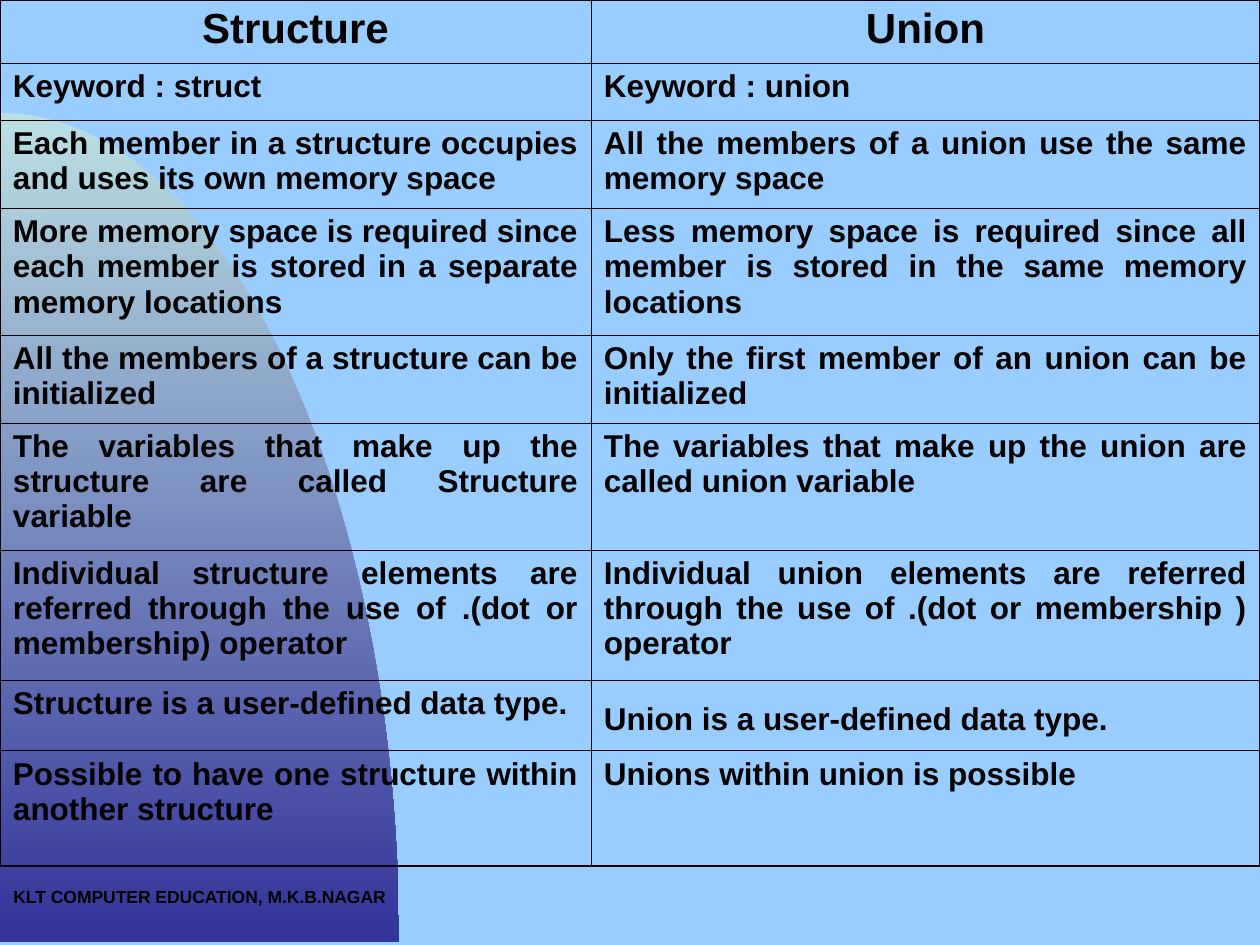
from lxml.etree import SubElement
from pptx import Presentation
from pptx.dml.color import RGBColor as RGB
from pptx.enum.text import MSO_ANCHOR, PP_ALIGN as AL
from pptx.oxml.ns import qn
from pptx.util import Emu, Pt

SCALE = 914400 / 126
COLORS = {"sky": "99CCFF", "mint": "BBE0E3", "indigo": "333399", "ink": "000000"}
INSETS = {"margin_left": 13, "margin_right": 13, "margin_top": 6, "margin_bottom": 6}
COLUMNS = [591, 669]
HEIGHTS = [63, 57, 88, 127, 88, 127, 130, 71, 115]
ROWS = [
    ("Structure", "Union"),
    ("Keyword : struct", "Keyword : union"),
    ("Each member in a structure occupies and uses its own memory space",
     "All the members of a union use the same memory space"),
    ("More memory space is required since each member is stored in a separate memory locations",
     "Less memory space is required since all member is stored in the same memory locations"),
    ("All the members of a structure can be initialized",
     "Only the first member of an union can be initialized"),
    ("The variables that make up the structure are called Structure variable",
     "The variables that make up the union are called union variable"),
    ("Individual structure elements are referred through the use of .(dot or membership) operator",
     "Individual union elements are referred through the use of .(dot or membership ) operator"),
    ("Structure is a user-defined data type.", "Union is a user-defined data type."),
    ("Possible to have one structure within another structure",
     "Unions within union is possible"),
]
LOWERED_CELL = (7, 1)


def px(n):
    return Emu(round(n * SCALE))


def color(name):
    return RGB.from_string(COLORS[name])


def bezier(p0, p1, p2, p3, steps=48):
    for i in range(1, steps + 1):
        t = i / steps
        u = 1 - t
        yield tuple(px(u**3 * a + 3 * u * u * t * b + 3 * u * t * t * c + t**3 * d)
                    for a, b, c, d in zip(p0, p1, p2, p3))


class SlideBuilder:
    font = {"name": "Arial", "bold": True}

    def __init__(self, prs):
        self.s = prs.slides.add_slide(prs.slide_layouts[6])
        fill = self.s.background.fill
        fill.solid()
        fill.fore_color.rgb = color("sky")

    def put_text(self, tf, text, size, align):
        p = tf.paragraphs[0]
        p.alignment = align
        r = p.add_run()
        r.text = text
        for key, value in {**self.font, "size": Pt(size)}.items():
            setattr(r.font, key, value)
        r.font.color.rgb = color("ink")

    def inset(self, target, **changes):
        for key, value in {**INSETS, **changes}.items():
            setattr(target, key, px(value))

    def arc(self, top, right, bottom):
        fb = self.s.shapes.build_freeform(px(0), px(top))
        curve = bezier((0, top), (220, top), (right, 485), (right, bottom))
        fb.add_line_segments([*curve, (px(0), px(bottom))], close=True)
        sp = fb.convert_to_shape()
        sp.shadow.inherit = False
        sp.line.fill.background()
        sp.fill.gradient()
        sp.fill.gradient_angle = 270
        for stop, name in zip(sp.fill.gradient_stops, ("mint", "indigo")):
            stop.color.rgb = color(name)

    def text(self, x, y, w, h, text, size):
        tf = self.s.shapes.add_textbox(px(x), px(y), px(w), px(h)).text_frame
        tf.word_wrap = True
        self.inset(tf)
        self.put_text(tf, text, size, AL.CENTER)

    def borders(self, cell, row, col):
        outer = {"L": col == 0, "R": col == len(COLUMNS) - 1,
                 "T": row == 0, "B": row == len(ROWS) - 1}
        for side, is_outer in outer.items():
            width = Pt(1.08 if is_outer else 0.45)
            ln = SubElement(cell._tc.get_or_add_tcPr(), qn("a:ln" + side), w=str(width))
            SubElement(SubElement(ln, qn("a:solidFill")), qn("a:srgbClr"), val=COLORS["ink"])

    def table(self, x, y):
        frame = self.s.shapes.add_table(len(ROWS), len(COLUMNS), px(x), px(y),
                                        px(sum(COLUMNS)), px(sum(HEIGHTS)))
        tbl = frame.table
        tbl.first_row = tbl.horz_banding = False
        for column, width in zip(tbl.columns, COLUMNS):
            column.width = px(width)
        for i, (height, texts) in enumerate(zip(HEIGHTS, ROWS)):
            tbl.rows[i].height = px(height)
            size = 24 if i == 0 else 18
            align = {0: AL.CENTER, 1: AL.LEFT}.get(i, AL.JUSTIFY)
            for j, text in enumerate(texts):
                cell = tbl.cell(i, j)
                self.borders(cell, i, j)
                cell.fill.background()
                cell.vertical_anchor = MSO_ANCHOR.TOP
                self.inset(cell, margin_top=22 if (i, j) == LOWERED_CELL else 6)
                self.put_text(cell.text_frame, text, size, align)


def main():
    prs = Presentation()
    prs.slide_width, prs.slide_height = px(1260), px(945)
    slide = SlideBuilder(prs)
    slide.arc(113, 399, 942)
    slide.text(0, 880, 399, 65, "KLT COMPUTER EDUCATION, M.K.B.NAGAR", 10)
    slide.table(0, 0)
    prs.save("out.pptx")


if __name__ == "__main__":
    main()
